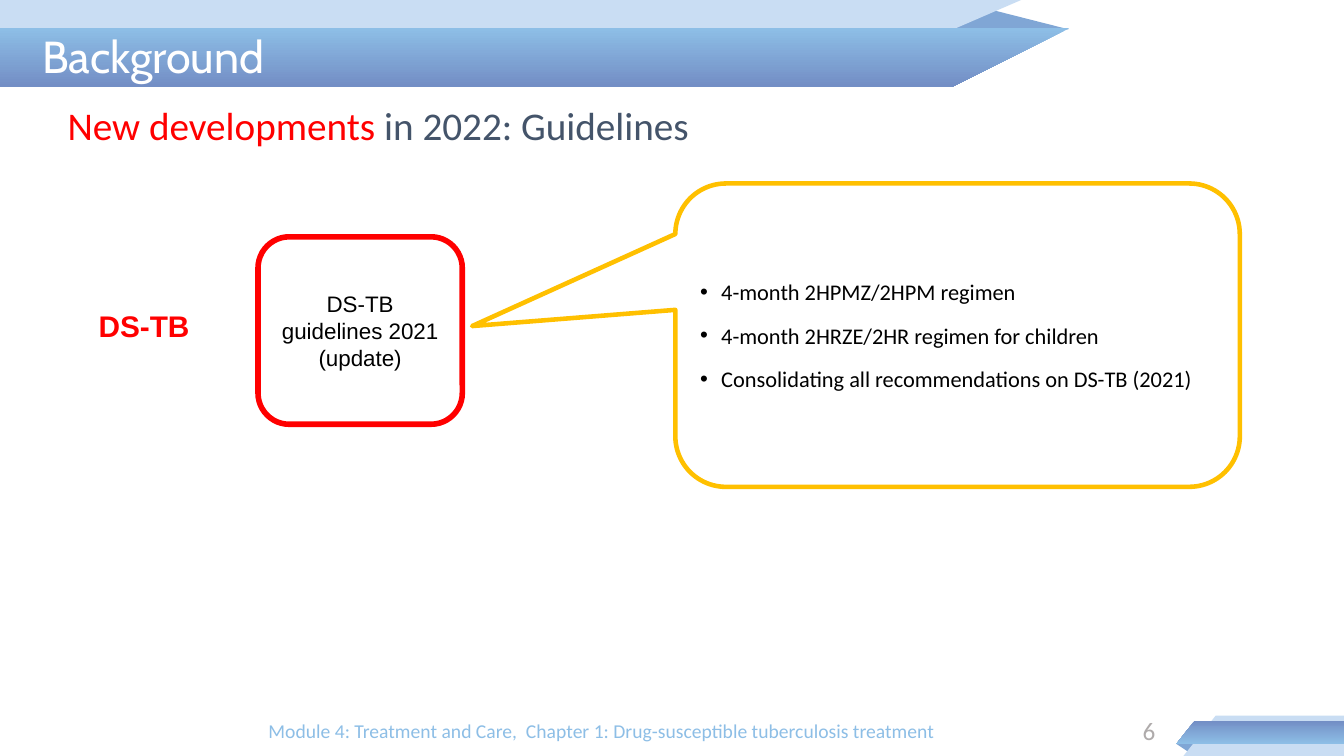
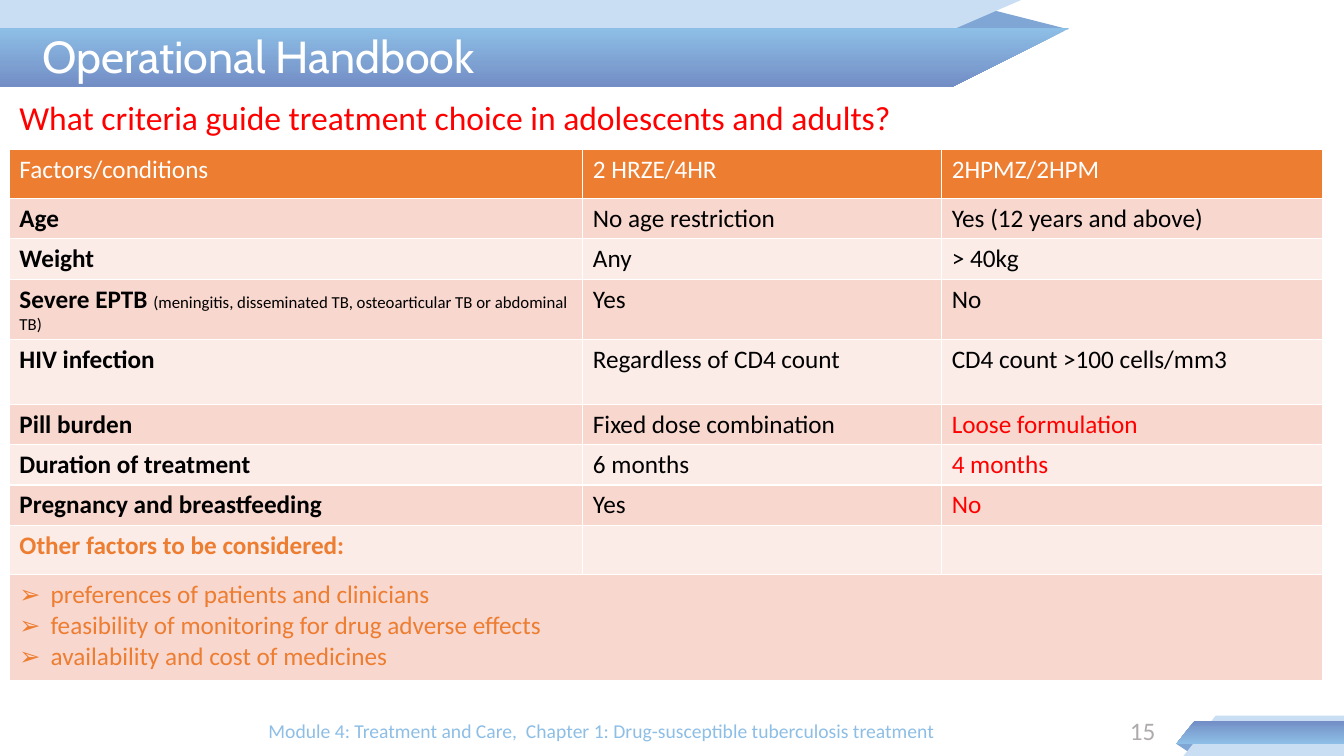
from dataclasses import dataclass

from lxml.etree import SubElement
from pptx import Presentation
from pptx.dml.color import RGBColor
from pptx.enum.shapes import MSO_SHAPE
from pptx.enum.text import MSO_ANCHOR, PP_ALIGN
from pptx.oxml.ns import qn
from pptx.util import Inches, Pt

WIDTH, HEIGHT = Inches(13.333), Inches(7.5)


@dataclass(frozen=True)
class Theme:
    # Colours
    white: str = "FFFFFF"
    black: str = "000000"
    red: str = "FF0000"
    slate: str = "44546A"
    grey: str = "AFABAB"
    amber: str = "FFC000"
    orange: str = "ED7D31"
    row_dark: str = "F8D7CE"
    row_light: str = "FCECE8"
    band_pale: str = "C9DDF3"
    band_fold: str = "80A6D5"
    band_deep: str = "738EC5"
    band_sky: str = "8DBEE6"
    # Fonts and type sizes
    title_font: str = "Cabin"
    body_font: str = "Calibri"
    label_font: str = "Arial"
    title: float = 32
    lead: float = 28
    question: float = 24
    label: float = 21.3
    table: float = 18
    body: float = 16
    footer: float = 14
    note: float = 12


THEME = Theme()
FOOTER = "Module 4: Treatment and Care,  Chapter 1: Drug-susceptible tuberculosis treatment"

# Bands: outlines in percent of the slide, with one colour or a gradient from top to bottom
BANDS = [
    ([(70.73, 3.87), (73.58, 1.2), (79.5, 3.87)], [THEME.band_fold]),
    ([(0, 0), (75.98, 0), (61.05, 11.47), (0, 11.47)], [THEME.band_pale]),
    ([(0, 3.73), (79.58, 3.73), (70.88, 11.47), (0, 11.47)], [THEME.band_sky, THEME.band_deep]),
    ([(87.53, 98.4), (88.88, 98.4), (88.43, 99.47)], [THEME.band_fold]),
    ([(88.05, 100), (90.45, 94.67), (100, 94.67), (100, 100)], [THEME.band_pale]),
    ([(87.53, 98.4), (88.88, 95.33), (100, 95.33), (100, 98.4)], [THEME.band_deep, THEME.band_sky]),
]

CRITERIA_COLUMNS = [42.67, 26.7, 28.35]
CRITERIA_ROWS = [6.53, 4.67, 5.2, 6.27, 8.53, 5.07, 5.2, 5.07, 6.53, 14]
CRITERIA = [
    ("Factors/conditions", "2 HRZE/4HR", "2HPMZ/2HPM"),
    ("Age", "No age restriction", "Yes (12 years and above)"),
    ("Weight", "Any", "> 40kg"),
    ("Severe EPTB ", "Yes", "No"),
    ("HIV infection", "Regardless of CD4 count", "CD4 count >100 cells/mm3"),
    ("Pill burden", "Fixed dose combination", "Loose formulation"),
    ("Duration of treatment", "6 months", "4 months"),
    ("Pregnancy and breastfeeding", "Yes", "No"),
    ("Other factors to be considered:", "", ""),
]
EPTB_NOTE = "(meningitis, disseminated TB, osteoarticular TB or abdominal TB)"
EPTB_ROW, OTHER_ROW = 3, 8
HIGHLIGHTED_ROWS = (5, 6, 7)
OTHER_FACTORS = [
    "preferences of patients and clinicians",
    "feasibility of monitoring for drug adverse effects",
    "availability and cost of medicines",
]


def across(percent):
    return round(WIDTH * percent / 100)


def down(percent):
    return round(HEIGHT * percent / 100)


def area(left, top, width, height):
    return across(left), down(top), across(width), down(height)


def rgb(colour):
    return RGBColor.from_string(colour)


# Text
def style(font, size, colour, face=THEME.body_font, bold=False):
    font.name, font.size, font.bold = face, Pt(size), bold
    font.color.rgb = rgb(colour)


def write(frame, lines, size, colour, face=THEME.body_font, bold=False,
          align=PP_ALIGN.LEFT, bullet=None, indent=0.0, gap=0):
    for index, line in enumerate(lines):
        paragraph = frame.paragraphs[0] if index == 0 else frame.add_paragraph()
        paragraph.text = line
        paragraph.alignment = align
        if gap:
            paragraph.space_after = Pt(gap)
            if index:
                paragraph.space_before = Pt(gap)
        if bullet:
            properties = paragraph._p.get_or_add_pPr()
            properties.set("marL", str(Inches(indent)))
            properties.set("indent", str(-Inches(indent)))
            SubElement(properties, qn("a:buFont")).set("typeface", THEME.label_font)
            SubElement(properties, qn("a:buChar")).set("char", bullet)
        style(paragraph.font, size, colour, face, bold)


def add_text(slide, place, text, size, colour, anchor=MSO_ANCHOR.MIDDLE, **options):
    frame = slide.shapes.add_textbox(*area(*place)).text_frame
    frame.word_wrap = True
    frame.vertical_anchor = anchor
    write(frame, [text], size, colour, **options)
    return frame


# Outlined boxes
def add_outlined(slide, preset, place, line_colour, line_width, lines, **options):
    box = slide.shapes.add_shape(preset, *area(*place))
    box.shadow.inherit = False
    box.fill.background()
    box.line.color.rgb = rgb(line_colour)
    box.line.width = Pt(line_width)
    box.text_frame.word_wrap = True
    box.text_frame.vertical_anchor = MSO_ANCHOR.MIDDLE
    write(box.text_frame, lines, THEME.body, THEME.black, **options)
    return box


# Shared frame of every slide
def add_band(slide, outline, colours):
    points = [(across(x), down(y)) for x, y in outline]
    builder = slide.shapes.build_freeform(*points[0])
    builder.add_line_segments(points[1:])
    band = builder.convert_to_shape()
    band.shadow.inherit = False
    band.line.fill.background()
    if len(colours) == 1:
        band.fill.solid()
        band.fill.fore_color.rgb = rgb(colours[0])
    else:
        band.fill.gradient()
        band.fill.gradient_angle = 270
        for stop, colour in zip(band.fill.gradient_stops, colours):
            stop.color.rgb = rgb(colour)


def add_framed_slide(deck, title, number):
    slide = deck.slides.add_slide(deck.slide_layouts[6])
    for outline, colours in BANDS:
        add_band(slide, outline, colours)
    add_text(slide, (2.4, 1.47, 60.15, 11.87), title, THEME.title, THEME.white,
             face=THEME.title_font)
    add_text(slide, (14.7, 94, 60.15, 5.33), FOOTER, THEME.footer, THEME.band_sky,
             align=PP_ALIGN.CENTER)
    add_text(slide, (76, 94, 10.7, 5.33), number, THEME.table, THEME.grey,
             align=PP_ALIGN.RIGHT)
    return slide


# Table
def paint_cell(cell, colour):
    properties = cell._tc.get_or_add_tcPr()
    for side in ("a:lnL", "a:lnR", "a:lnT", "a:lnB"):
        border = SubElement(properties, qn(side), w=str(Pt(1)))
        fill = SubElement(border, qn("a:solidFill"))
        SubElement(fill, qn("a:srgbClr"), val=THEME.white)
    cell.fill.solid()
    cell.fill.fore_color.rgb = rgb(colour)


def criteria_colour(row, column):
    if row == 0:
        return THEME.white
    if row == OTHER_ROW:
        return THEME.orange
    if row in HIGHLIGHTED_ROWS and column == 2:
        return THEME.red
    return THEME.black


def add_criteria_table(slide, left, top):
    place = area(left, top, sum(CRITERIA_COLUMNS), sum(CRITERIA_ROWS))
    table = slide.shapes.add_table(len(CRITERIA_ROWS), len(CRITERIA_COLUMNS), *place).table
    for column, width in zip(table.columns, CRITERIA_COLUMNS):
        column.width = across(width)
    for index, height in enumerate(CRITERIA_ROWS):
        table.rows[index].height = down(height)
        shade = THEME.row_dark if index % 2 else THEME.row_light
        for cell in table.rows[index].cells:
            paint_cell(cell, shade if index else THEME.orange)

    for row, entries in enumerate(CRITERIA):
        for column, entry in enumerate(entries):
            write(table.cell(row, column).text_frame, [entry], THEME.table,
                  criteria_colour(row, column), bold=row > 0 and column == 0)
    note = table.cell(EPTB_ROW, 0).text_frame.paragraphs[0].add_run()
    note.text = EPTB_NOTE
    style(note.font, THEME.note, THEME.black)

    # Closing row across all columns
    factors = table.cell(len(CRITERIA), 0)
    factors.merge(table.cell(len(CRITERIA), len(CRITERIA_COLUMNS) - 1))
    write(factors.text_frame, OTHER_FACTORS, THEME.table, THEME.orange,
          bullet="➢", indent=0.31)


# Slides
def build_background(deck):
    slide = add_framed_slide(deck, "Background", "6")
    lead = add_text(slide, (4.3, 12.7, 80.25, 6.13), "New developments ", THEME.lead,
                    THEME.red, anchor=MSO_ANCHOR.TOP)
    topic = lead.paragraphs[0].add_run()
    topic.text = "in 2022: Guidelines"
    topic.font.color.rgb = rgb(THEME.slate)

    add_text(slide, (6.6, 40, 10, 6.13), "DS-TB", THEME.label, THEME.red,
             face=THEME.label_font, bold=True)
    add_outlined(slide, MSO_SHAPE.ROUNDED_RECTANGLE, (19.2, 31.33, 15.2, 24.8), THEME.red, 4,
                 ["DS-TB guidelines 2021 (update)"],
                 face=THEME.label_font, align=PP_ALIGN.CENTER)
    updates = add_outlined(
        slide, MSO_SHAPE.ROUNDED_RECTANGULAR_CALLOUT, (50.25, 24.27, 42, 40.13),
        THEME.amber, 3.25,
        ["4-month 2HPMZ/2HPM regimen",
         "4-month 2HRZE/2HR regimen for children",
         "Consolidating all recommendations on DS-TB (2021)"],
        bullet="•", indent=0.21, gap=6)
    updates.adjustments[0] = -0.86
    updates.adjustments[1] = -0.03


def build_handbook(deck):
    slide = add_framed_slide(deck, "Operational Handbook", "15")
    add_text(slide, (0.7, 12.13, 96.8, 6.13),
             "What criteria guide treatment choice in adolescents and adults?",
             THEME.question, THEME.red, anchor=MSO_ANCHOR.TOP)
    add_criteria_table(slide, 0.7, 19.73)


def main():
    deck = Presentation()
    deck.slide_width, deck.slide_height = WIDTH, HEIGHT
    build_background(deck)
    build_handbook(deck)
    deck.save("out.pptx")


if __name__ == "__main__":
    main()
